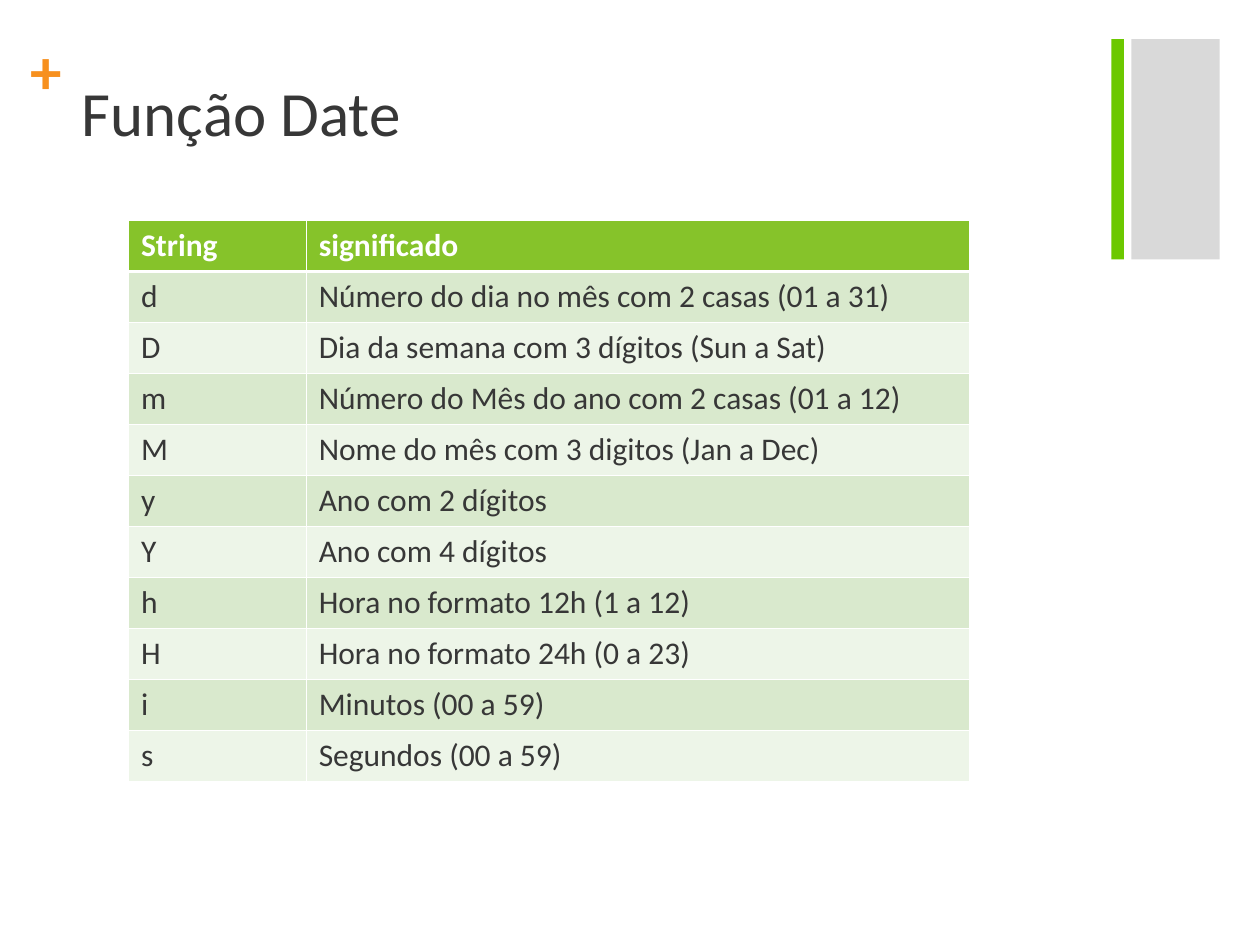
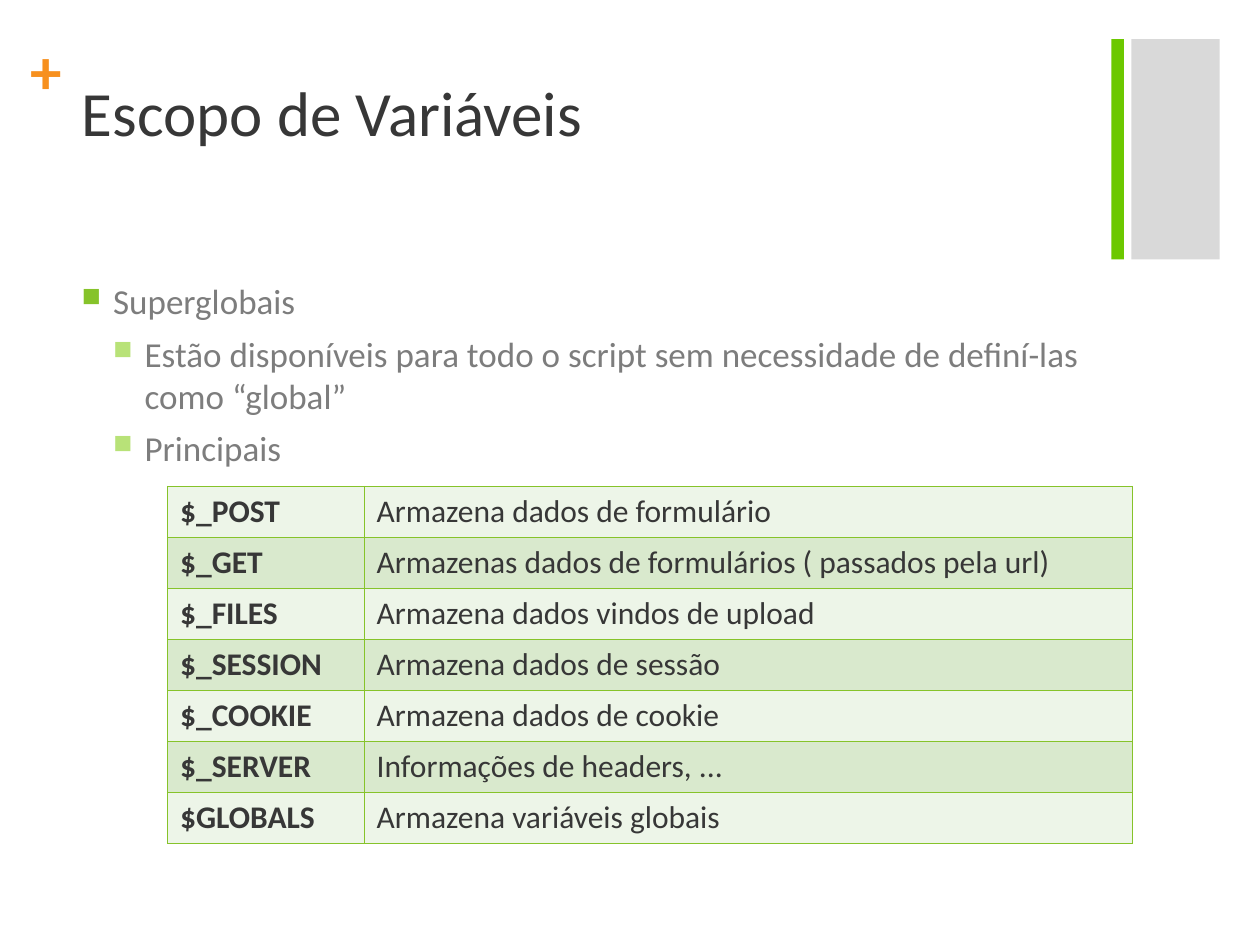
from lxml import etree
from pptx import Presentation
from pptx.dml.color import RGBColor
from pptx.enum import shapes, text
from pptx.oxml.ns import qn
from pptx.util import Inches, Pt

FONT = "Calibri"
DARK, GRAY, WHITE = "373737", "7D7D7D", "FFFFFF"
GREEN, LIGHT_GREEN = "86C32A", "B8E278"
BANDS = ("D9E9CD", "EDF5E8")
SIDE_BARS = [(8.98, 0.7, "D9D9D9"), (8.82, 0.1, "6CC800")]  # left, width, colour
ROW_HEIGHT = 0.405

DATE_TITLE = "Função Date"
DATE_FORMATS = [
    ("String", "significado"),
    ("d", "Número do dia no mês com 2 casas (01 a 31)"),
    ("D", "Dia da semana com 3 dígitos (Sun a Sat)"),
    ("m", "Número do Mês do ano com 2 casas (01 a 12)"),
    ("M", "Nome do mês com 3 digitos (Jan a Dec)"),
    ("y", "Ano com 2 dígitos"),
    ("Y", "Ano com 4 dígitos"),
    ("h", "Hora no formato 12h (1 a 12)"),
    ("H", "Hora no formato 24h (0 a 23)"),
    ("i", "Minutos (00 a 59)"),
    ("s", "Segundos (00 a 59)"),
]

SCOPE_TITLE = "Escopo de Variáveis"
SCOPE_BULLETS = [
    (0, "Superglobais"),
    (1, "Estão disponíveis para todo o script sem necessidade de definí-las como “global”"),
    (1, "Principais"),
]
SUPERGLOBALS = [
    ("$_POST", "Armazena dados de formulário"),
    ("$_GET", "Armazenas dados de formulários ( passados pela url)"),
    ("$_FILES", "Armazena dados vindos de upload"),
    ("$_SESSION", "Armazena dados de sessão"),
    ("$_COOKIE", "Armazena dados de cookie"),
    ("$_SERVER", "Informações de headers, ..."),
    ("$GLOBALS", "Armazena variáveis globais"),
]


def rgb(color):
    return RGBColor.from_string(color)


def write(p, content, size=18, color=DARK, bold=False):
    p.alignment = text.PP_ALIGN.LEFT
    r = p.add_run()
    r.text = content
    f = r.font
    f.name, f.size, f.bold = FONT, Pt(size), bold
    f.color.rgb = rgb(color)


def add_bullet(p, level, color):
    p.level = level
    pPr = p._p.get_or_add_pPr()
    pPr.set("marL", str(Inches(0.25 * (level + 1))))
    pPr.set("indent", str(Inches(-0.25)))
    bu_color = etree.SubElement(pPr, qn("a:buClr"))
    etree.SubElement(bu_color, qn("a:srgbClr"), val=color)
    etree.SubElement(pPr, qn("a:buSzPct"), val="75000")
    etree.SubElement(pPr, qn("a:buChar"), char="■")


def add_borders(cell, color, **widths):
    """Draw the cell's edges; widths are points keyed by L, R, T and B."""
    tcPr = cell._tc.get_or_add_tcPr()
    for side in "LRTB":
        width = widths.get(side, 0.45)
        ln = etree.SubElement(tcPr, qn("a:ln" + side), w=str(Pt(width)))
        fill = etree.SubElement(ln, qn("a:solidFill"))
        etree.SubElement(fill, qn("a:srgbClr"), val=color)


def add_text_table(s, rows, left, top, col_widths, border, header=False, bold_keys=False):
    frame = s.shapes.add_table(len(rows), len(col_widths), Inches(left), Inches(top),
                               Inches(sum(col_widths)), Inches(ROW_HEIGHT * len(rows)))
    table = frame.table
    table.first_row = header
    for column, width in zip(table.columns, col_widths):
        column.width = Inches(width)
    for i, row in enumerate(rows):
        is_header = header and i == 0
        edges = {"B": 1.47} if is_header else {"T": 1.47} if header and i == 1 else {}
        for j, content in enumerate(row):
            cell = table.cell(i, j)
            add_borders(cell, border, **edges)
            cell.fill.solid()
            cell.fill.fore_color.rgb = rgb(GREEN if is_header else BANDS[(i + 1) % 2])
            write(cell.text_frame.paragraphs[0], content,
                  color=WHITE if is_header else DARK,
                  bold=is_header or (bold_keys and j == 0))


def add_titled_slide(prs, title):
    s = prs.slides.add_slide(prs.slide_layouts[5])
    for left, width, color in SIDE_BARS:
        bar = s.shapes.add_shape(shapes.MSO_SHAPE.RECTANGLE, Inches(left), Inches(0.31),
                                 Inches(width), Inches(1.75))
        bar.shadow.inherit = False
        bar.fill.solid()
        bar.fill.fore_color.rgb = rgb(color)
        bar.line.fill.background()

    plus = s.shapes.add_textbox(Inches(0.24), Inches(0.25), Inches(0.28), Inches(0.6))
    tf = plus.text_frame
    tf.margin_left = tf.margin_right = tf.margin_top = tf.margin_bottom = 0
    write(tf.paragraphs[0], "+", size=36, color="F7901E", bold=True)

    sp = s.shapes.title
    sp.left, sp.top, sp.width, sp.height = map(Inches, (0.55, 0.53, 8.26, 1.22))
    tf = sp.text_frame
    tf.vertical_anchor = text.MSO_ANCHOR.TOP
    tf.auto_size = text.MSO_AUTO_SIZE.NONE
    write(tf.paragraphs[0], title, size=36)
    return s


def add_bullets(s, items):
    box = s.shapes.add_textbox(Inches(0.55), Inches(2.17), Inches(8.26), Inches(4.53))
    tf = box.text_frame
    tf.word_wrap = True
    for i, (level, content) in enumerate(items):
        p = tf.add_paragraph() if i else tf.paragraphs[0]
        add_bullet(p, level, (GREEN, LIGHT_GREEN)[level])
        if i:
            p.space_before = Pt(6)
        write(p, content, size=20, color=GRAY)


def main():
    prs = Presentation()
    prs.slide_width, prs.slide_height = Inches(10), Inches(7.5)

    s = add_titled_slide(prs, DATE_TITLE)
    add_text_table(s, DATE_FORMATS, 1.02, 1.75, (1.41, 5.26), WHITE, header=True)

    s = add_titled_slide(prs, SCOPE_TITLE)
    add_bullets(s, SCOPE_BULLETS)
    add_text_table(s, SUPERGLOBALS, 1.33, 3.86, (1.56, 6.1), GREEN, bold_keys=True)

    prs.save("out.pptx")


if __name__ == "__main__":
    main()
